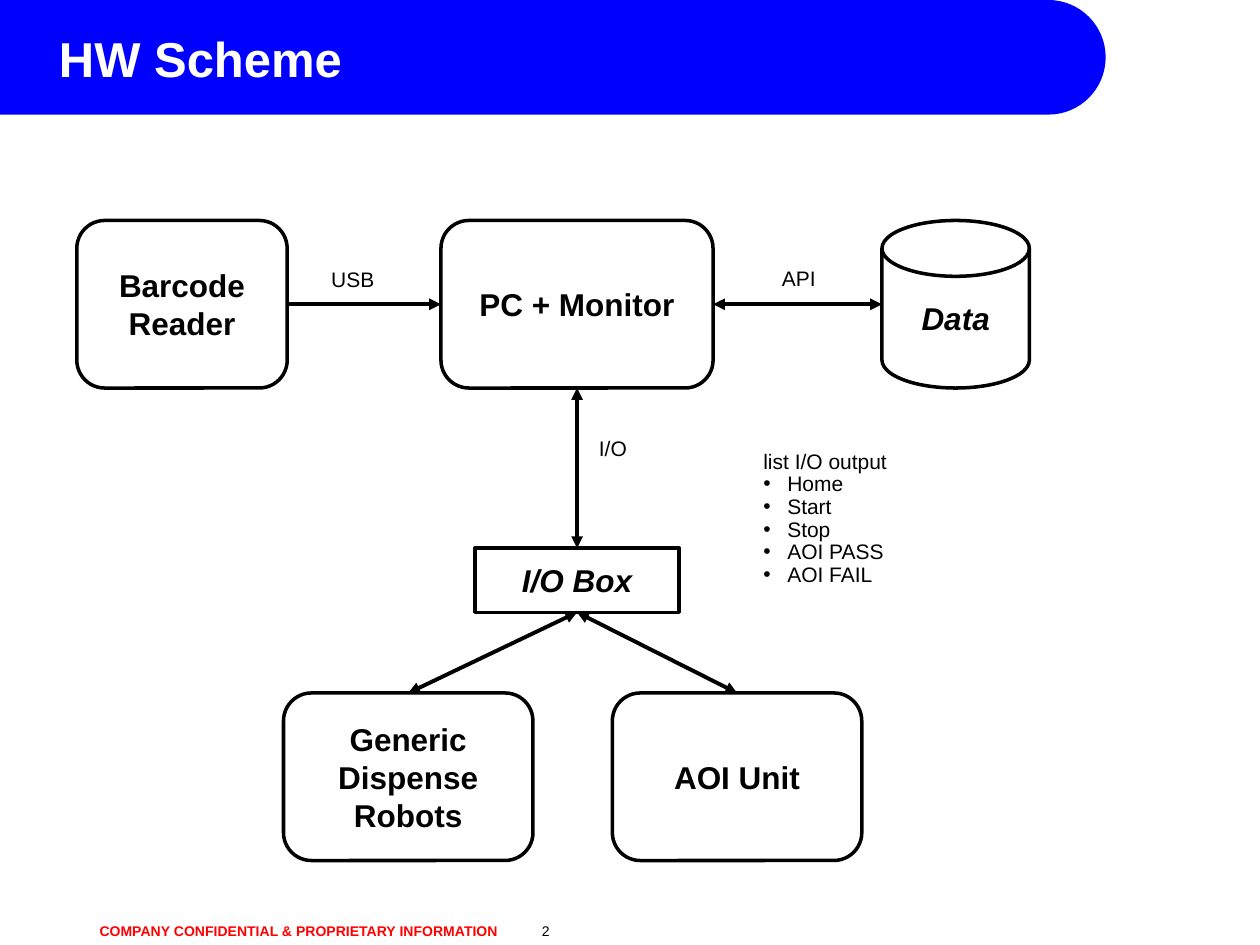
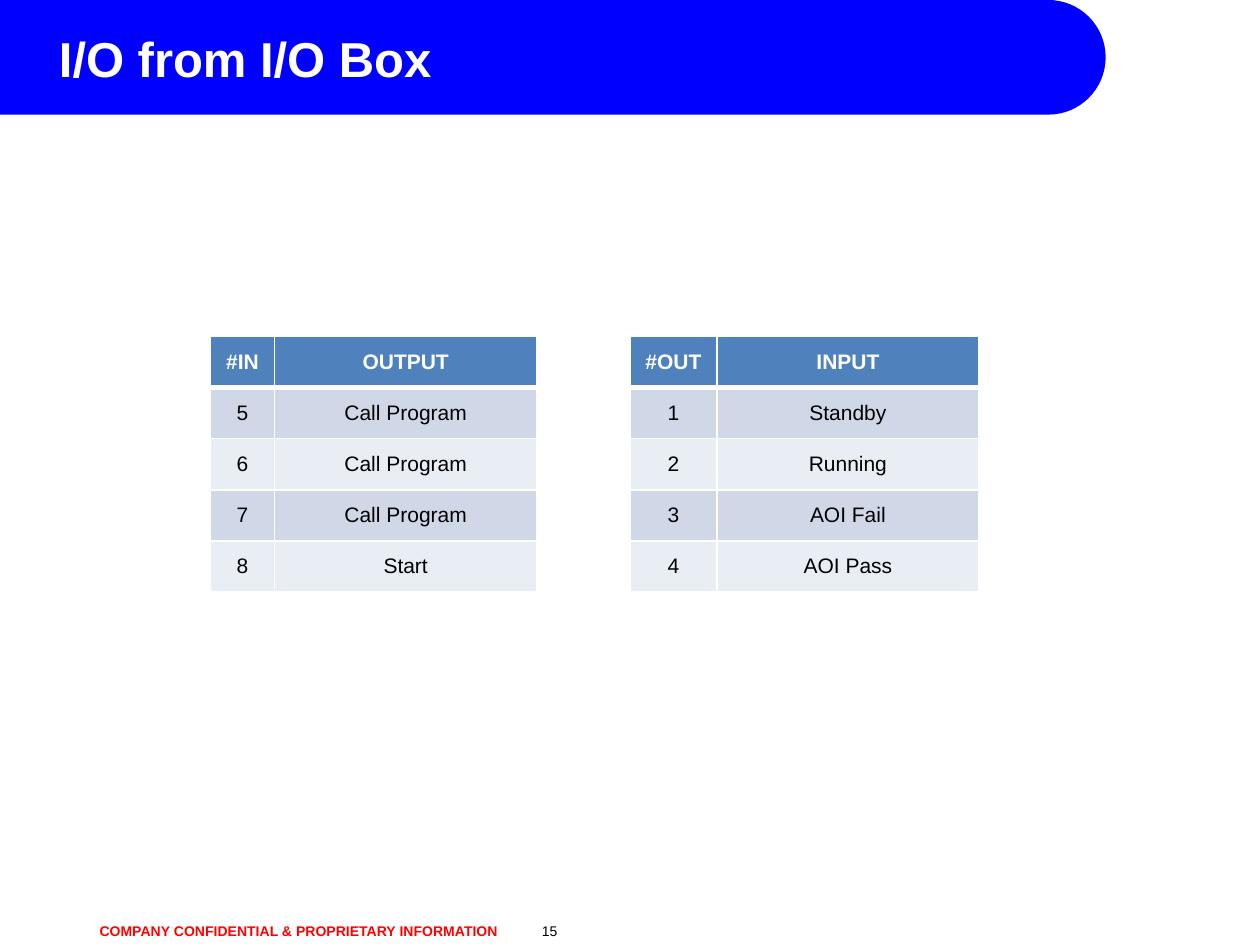
from dataclasses import dataclass
from math import cos, pi, sin
from typing import Optional

from lxml.etree import SubElement
from pptx import Presentation
from pptx.dml.color import RGBColor
from pptx.enum.shapes import MSO_CONNECTOR, MSO_SHAPE as SHAPE
from pptx.enum.text import MSO_ANCHOR as ANCHOR, PP_ALIGN as ALIGN
from pptx.oxml.ns import qn
from pptx.util import Emu, Pt

PX_PER_INCH = 100
EMU_PER_PX = 914400 // PX_PER_INCH
TOP, LEFT, BOTTOM, RIGHT = range(4)


@dataclass(frozen=True)
class Theme:
    font: str = "Arial"
    title_size: int = 28
    box_size: int = 18
    text_size: int = 12
    footer_size: int = 8
    outline: float = 2
    arrow: float = 2.25
    thin: int = 1
    thick: int = 3
    white: str = "FFFFFF"
    black: str = "000000"
    band: str = "0000FF"
    notice: str = "FF0000"
    header: str = "4F81BD"
    rows: tuple[str, str] = ("D0D8E8", "E9EDF4")


THEME = Theme()
NOTICE = "COMPANY CONFIDENTIAL & PROPRIETARY INFORMATION"


@dataclass(frozen=True)
class Box:
    name: str
    lines: tuple[str, ...]
    x: int
    y: int
    w: int
    h: int
    shape: int = SHAPE.ROUNDED_RECTANGLE
    italic: bool = False

    def side(self, site: int) -> tuple[int, int]:
        mid_x, mid_y = px(self.x) + px(self.w) // 2, px(self.y) + px(self.h) // 2
        return {
            TOP: (mid_x, px(self.y)),
            LEFT: (px(self.x), mid_y),
            BOTTOM: (mid_x, px(self.y + self.h)),
            RIGHT: (px(self.x + self.w), mid_y),
        }[site]


@dataclass(frozen=True)
class Link:
    start: str
    start_side: int
    end: str
    end_side: int
    two_way: bool = True


@dataclass(frozen=True)
class Label:
    text: str
    x: int
    y: int
    w: int


@dataclass(frozen=True)
class SignalTable:
    x: int
    number_w: int
    rows: tuple[tuple[str, str], ...]


BOXES = (
    Box("pc", ("PC + Monitor",), 350, 175, 216, 133),
    Box("reader", ("Barcode Reader",), 61, 175, 167, 133),
    Box("robots", ("Generic", "Dispense Robots"), 225, 550, 198, 133),
    Box("data", ("Data",), 700, 175, 117, 133, SHAPE.FLOWCHART_MAGNETIC_DISK, True),
    Box("aoi", ("AOI Unit",), 486, 550, 198, 133),
    Box("io", ("I/O Box",), 377, 435, 162, 51, SHAPE.RECTANGLE, True),
)
LINKS = (
    Link("reader", RIGHT, "pc", LEFT, two_way=False),
    Link("pc", RIGHT, "data", LEFT),
    Link("pc", BOTTOM, "io", TOP),
    Link("io", BOTTOM, "robots", TOP),
    Link("io", BOTTOM, "aoi", TOP),
)
LABELS = (
    Label("API", 584, 208, 100),
    Label("USB", 230, 209, 100),
    Label("I/O", 453, 343, 67),
)
OUTPUTS = ("Home", "Start", "Stop", "AOI PASS", "AOI FAIL")
TABLES = (
    SignalTable(167, 51, (
        ("#IN", "OUTPUT"), ("5", "Call Program"), ("6", "Call Program"),
        ("7", "Call Program"), ("8", "Start"),
    )),
    SignalTable(500, 69, (
        ("#OUT", "INPUT"), ("1", "Standby"), ("2", "Running"),
        ("3", "AOI Fail"), ("4", "AOI Pass"),
    )),
)


def px(value: int) -> Emu:
    return Emu(value * EMU_PER_PX)


def rgb(value: str) -> RGBColor:
    return RGBColor.from_string(value)


def style(font, size: float, color: str = THEME.black, bold: bool = False,
          italic: bool = False) -> None:
    font.name, font.size = THEME.font, Pt(size)
    font.bold, font.italic = bold, italic
    font.color.rgb = rgb(color)


def add_text(slide, x: int, y: int, w: int, h: int):
    tf = slide.shapes.add_textbox(px(x), px(y), px(w), px(h)).text_frame
    tf.word_wrap = True
    return tf


def add_band(slide) -> None:
    radius, cx, steps = 4550, 83200, 32
    arc = [
        (cx + radius * sin(pi * i / steps), radius * (1 - cos(pi * i / steps)))
        for i in range(steps + 1)
    ]
    builder = slide.shapes.build_freeform(0, 0, scale=EMU_PER_PX / 100)
    builder.add_line_segments([*arc, (0, 2 * radius)], close=True)
    sp = builder.convert_to_shape()
    sp.shadow.inherit = False
    sp.fill.solid()
    sp.fill.fore_color.rgb = rgb(THEME.band)
    sp.line.fill.background()


def add_footer(slide, number: int) -> None:
    tf = add_text(slide, 67, 708, 500, 42)
    tf.margin_left = px(12)
    tf.vertical_anchor = ANCHOR.BOTTOM
    p = tf.paragraphs[0]
    tabs = SubElement(p._p.get_or_add_pPr(), qn("a:tabLst"))
    SubElement(tabs, qn("a:tab"), pos=str(px(351)), algn="l")
    for text, color, bold in ((NOTICE + "\t", THEME.notice, True),
                              (str(number), THEME.black, False)):
        r = p.add_run()
        r.text = text
        style(r.font, THEME.footer_size, color, bold)


def add_page(prs, title: str, number: int):
    slide = prs.slides.add_slide(prs.slide_layouts[6])
    add_band(slide)
    add_footer(slide, number)
    p = add_text(slide, 37, 18, 854, 66).paragraphs[0]
    p.text = title
    style(p.font, THEME.title_size, THEME.white, bold=True)
    return slide


def add_box(slide, box: Box):
    sp = slide.shapes.add_shape(box.shape, px(box.x), px(box.y), px(box.w), px(box.h))
    sp.shadow.inherit = False
    sp.fill.solid()
    sp.fill.fore_color.rgb = rgb(THEME.white)
    sp.line.color.rgb = rgb(THEME.black)
    sp.line.width = Pt(THEME.outline)
    tf = sp.text_frame
    tf.word_wrap = True
    tf.vertical_anchor = ANCHOR.MIDDLE
    tf.text = "\n".join(box.lines)
    for p in tf.paragraphs:
        p.alignment = ALIGN.CENTER
        style(p.font, THEME.box_size, bold=True, italic=box.italic)
    return sp


def add_link(slide, link: Link, boxes: dict, shapes: dict) -> None:
    start, end = boxes[link.start], boxes[link.end]
    line = slide.shapes.add_connector(
        MSO_CONNECTOR.STRAIGHT, *start.side(link.start_side), *end.side(link.end_side))
    line.line.color.rgb = rgb(THEME.black)
    line.line.width = Pt(THEME.arrow)
    for box, site, join in ((start, link.start_side, line.begin_connect),
                            (end, link.end_side, line.end_connect)):
        if box.shape != SHAPE.FLOWCHART_MAGNETIC_DISK:
            join(shapes[box.name], site)
    sp_pr = line.element.spPr
    ln = sp_pr.find(qn("a:ln"))
    if link.two_way:
        SubElement(ln, qn("a:headEnd"), type="triangle")
    SubElement(ln, qn("a:tailEnd"), type="triangle")
    SubElement(sp_pr, qn("a:effectLst"))


def set_note(p, text: str, align: int, bullet: Optional[str] = None) -> None:
    p.text = text
    p.alignment = align
    p.line_spacing = 0.9
    if bullet:
        p_pr = p._p.get_or_add_pPr()
        p_pr.set("marL", str(px(19)))
        p_pr.set("indent", str(-px(19)))
        SubElement(p_pr, qn("a:buFont"), typeface=THEME.font)
        SubElement(p_pr, qn("a:buChar"), char=bullet)
    style(p.font, THEME.text_size)


def set_borders(cell, row: int) -> None:
    tc_pr = cell._tc.get_or_add_tcPr()
    widths = {
        "lnL": THEME.thin,
        "lnR": THEME.thin,
        "lnT": THEME.thick if row == 1 else THEME.thin,
        "lnB": THEME.thick if row == 0 else THEME.thin,
    }
    for tag, width in widths.items():
        ln = SubElement(tc_pr, qn(f"a:{tag}"), w=str(Pt(width)))
        fill = SubElement(ln, qn("a:solidFill"))
        SubElement(fill, qn("a:srgbClr"), val=THEME.white)


def add_signal_table(slide, signals: SignalTable) -> None:
    widths = (signals.number_w, 208)
    table = slide.shapes.add_table(
        len(signals.rows), len(widths), px(signals.x), px(267), px(sum(widths)), px(203)).table
    for column, width in zip(table.columns, widths):
        column.width = px(width)
    for i, row in enumerate(signals.rows):
        head = i == 0
        for j, text in enumerate(row):
            cell = table.cell(i, j)
            set_borders(cell, i)
            cell.fill.solid()
            cell.fill.fore_color.rgb = rgb(THEME.header if head else THEME.rows[(i - 1) % 2])
            cell.vertical_anchor = ANCHOR.MIDDLE
            p = cell.text_frame.paragraphs[0]
            p.text = text
            p.alignment = ALIGN.CENTER
            style(p.font, THEME.text_size, THEME.white if head else THEME.black, head)


def build_scheme(prs) -> None:
    slide = add_page(prs, "HW Scheme", 2)
    boxes = {box.name: box for box in BOXES}
    shapes = {box.name: add_box(slide, box) for box in BOXES}
    for link in LINKS:
        add_link(slide, link, boxes, shapes)
    for label in LABELS:
        tf = add_text(slide, label.x, label.y, label.w, 28)
        set_note(tf.paragraphs[0], label.text, ALIGN.CENTER)
    tf = add_text(slide, 596, 353, 198, 119)
    set_note(tf.paragraphs[0], "list I/O output", ALIGN.JUSTIFY)
    for output in OUTPUTS:
        set_note(tf.add_paragraph(), output, ALIGN.JUSTIFY, "•")


def build_signals(prs) -> None:
    slide = add_page(prs, "I/O from I/O Box", 15)
    for signals in TABLES:
        add_signal_table(slide, signals)


def main() -> None:
    prs = Presentation()
    prs.slide_width, prs.slide_height = px(1000), px(750)
    build_scheme(prs)
    build_signals(prs)
    prs.save("out.pptx")


if __name__ == "__main__":
    main()
